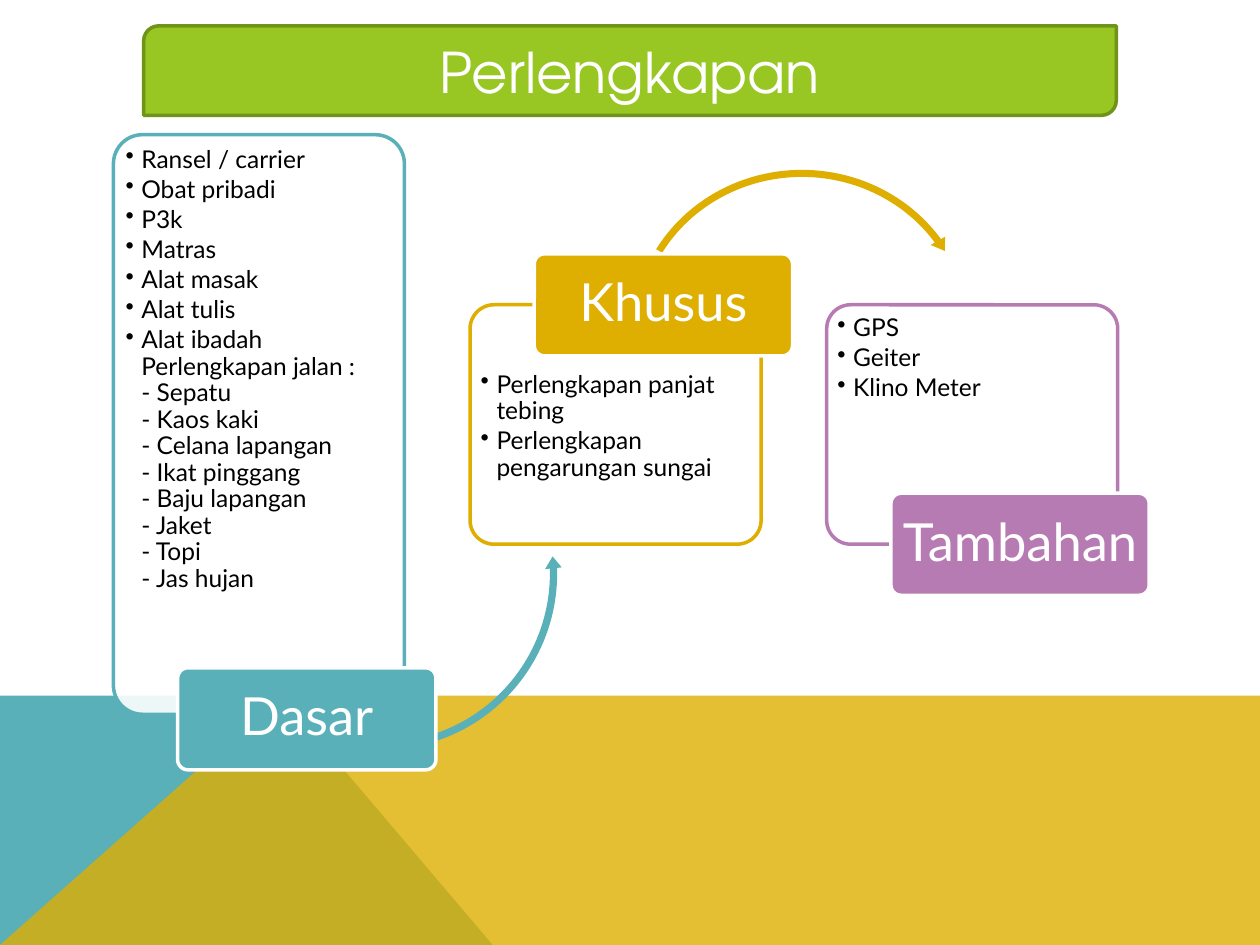
import copy
from dataclasses import dataclass

import pptx
import pptx.dml.color
import pptx.enum.shapes
import pptx.enum.text
import pptx.oxml
import pptx.oxml.ns
import pptx.util
from lxml import etree

Pt = pptx.util.Pt
SHAPE = pptx.enum.shapes.MSO_SHAPE
ALIGN = pptx.enum.text.PP_ALIGN
ANCHOR = pptx.enum.text.MSO_ANCHOR
qn = pptx.oxml.ns.qn


@dataclass(frozen=True)
class Theme:
    teal: str = "59B0B9"
    gold: str = "DEAE00"
    purple: str = "B77BB4"
    green: str = "98C723"
    dark_green: str = "70931A"
    white: str = "FFFFFF"
    black: str = "000000"
    title_font: str = "TeX Gyre Adventor"
    body_font: str = "Lato"
    title_size: float = 32
    label_size: float = 30
    list_size: float = 14
    line_width: float = 2


THEME = Theme()


def rgb(color):
    return pptx.dml.color.RGBColor.from_string(color)


def paint(shape, fill, line=None, opacity=100):
    shape.shadow.inherit = False
    shape.fill.solid()
    shape.fill.fore_color.rgb = rgb(fill)
    if opacity < 100:
        color = shape.fill._xPr.find(".//" + qn("a:srgbClr"))
        etree.SubElement(color, qn("a:alpha"), val=str(opacity * 1000))
    if line:
        shape.line.color.rgb = rgb(line)
        shape.line.width = Pt(THEME.line_width)
    else:
        shape.line.fill.background()


def add_box(slide, kind, box, fill, line=None, opacity=100, adjustments=()):
    shape = slide.shapes.add_shape(kind, *[Pt(value) for value in box])
    for index, value in enumerate(adjustments):
        shape.adjustments[index] = value
    paint(shape, fill, line, opacity)
    return shape


def write_text(shape, paragraphs, *, font, size, color, align=ALIGN.CENTER,
               anchor=ANCHOR.MIDDLE, insets=(7.2, 3.6, 7.2, 3.6),
               line_spacing=1.0, space_after=0, bullet_indent=0):
    frame = shape.text_frame
    frame.word_wrap = True
    frame.vertical_anchor = anchor
    (frame.margin_left, frame.margin_top,
     frame.margin_right, frame.margin_bottom) = [Pt(inset) for inset in insets]
    for index, text in enumerate(paragraphs):
        paragraph = frame.add_paragraph() if index else frame.paragraphs[0]
        paragraph.text = text.replace("\n", "\v")
        paragraph.alignment = align
        paragraph.line_spacing = line_spacing
        paragraph.space_after = Pt(space_after)
        for run in paragraph.runs:
            run.font.name = font
            run.font.size = Pt(size)
            run.font.color.rgb = rgb(color)
        # Line breaks take the same type size as the text around them
        for line_break in paragraph._p.findall(qn("a:br")):
            line_break.append(copy.deepcopy(paragraph.runs[0]._r.rPr))
        if bullet_indent:
            properties = paragraph._p.get_or_add_pPr()
            properties.set("marL", str(Pt(bullet_indent)))
            properties.set("indent", str(-Pt(bullet_indent)))
            etree.SubElement(properties, qn("a:buChar"), char="•")


def add_backdrop(slide, box):
    left, top, width, height = box
    right, bottom = left + width, top + height
    peak = left + 160.6
    bands = [
        ([(left, bottom), (left, top), (peak, top), (left + 281.5, bottom)],
         THEME.teal, 100),
        ([(left, bottom), (peak, top), (right, top), (right, bottom)],
         THEME.gold, 80),
    ]
    for points, color, opacity in bands:
        start, *others = [(Pt(x), Pt(y)) for x, y in points]
        builder = slide.shapes.build_freeform(*start)
        builder.add_line_segments(others, close=True)
        paint(builder.convert_to_shape(), color, opacity=opacity)


def add_title(slide, box, text):
    banner = add_box(slide, SHAPE.ROUND_2_DIAG_RECTANGLE, box,
                     THEME.green, THEME.dark_green)
    write_text(banner, [text], font=THEME.title_font, size=THEME.title_size,
               color=THEME.white)


def add_card(slide, box, color, items, text_drop=0):
    card = add_box(slide, SHAPE.ROUNDED_RECTANGLE, box, THEME.white, color,
                   opacity=90, adjustments=[0.1])
    write_text(card, items, font=THEME.body_font, size=THEME.list_size,
               color=THEME.black, align=ALIGN.LEFT, anchor=ANCHOR.TOP,
               insets=(2.1, 2.1 + text_drop, 2.1, 2.1), line_spacing=0.9,
               space_after=2.1, bullet_indent=9)


def add_label(slide, box, color, text):
    label = add_box(slide, SHAPE.ROUNDED_RECTANGLE, box, color, THEME.white,
                    adjustments=[0.1])
    write_text(label, [text], font=THEME.body_font, size=THEME.label_size,
               color=THEME.white, insets=(4.3, 2.9, 4.3, 2.9),
               line_spacing=0.9, space_after=10.5)


def add_process(slide, box):
    """Three cards in a row, each with a label, linked by curved arrows."""
    left, top, width, height = box
    card_width, label_width, label_height = 166.3, 147.6, 58.3
    step = (width - label_width - 36.7) / 2
    low_top, low_height = top + 97.2, 136.8
    road_gear = ["Alat ibadah", "Perlengkapan jalan :", "- Sepatu",
                 "- Kaos kaki", "- Celana lapangan", "- Ikat pinggang",
                 "- Baju lapangan", "- Jaket", "- Topi", "- Jas hujan"]
    # Label, colour, card top, card height, label centre, text drop, items, arrow
    stages = [
        ("Dasar", THEME.teal, top, 331.2, top + height - label_height / 2, 0,
         ["Ransel / carrier", "Obat pribadi", "P3k", "Matras", "Alat masak",
          "Alat tulis", "\n".join(road_gear)],
         (SHAPE.LEFT_CIRCULAR_ARROW, (49.7, 147.6, 206.6, 206.6),
          [0.02, 2.354, 214.906, 69.042, 0.023])),
        ("Khusus", THEME.gold, low_top, low_height, low_top, 32.4,
         ["Perlengkapan panjat tebing", "Perlengkapan pengarungan sungai"],
         (SHAPE.CIRCULAR_ARROW, (90, 17.3, 199.4, 190.8),
          [0.021, 2.55, 195.695, 125.755, 0.025])),
        ("Tambahan", THEME.purple, low_top, low_height, low_top + low_height, 0,
         ["GPS", "Geiter", "Klino Meter"], None),
    ]
    for index, stage in enumerate(stages):
        name, color, card_top, card_height, label_middle, drop, items, arrow = stage
        x = left + index * step
        add_card(slide, (x, card_top, card_width, card_height), color, items, drop)
        if arrow:
            kind, (dx, dy, arrow_width, arrow_height), adjustments = arrow
            add_box(slide, kind, (x + dx, top + dy, arrow_width, arrow_height),
                    color, adjustments=adjustments)
        add_label(slide, (x + 36.7, label_middle - label_height / 2,
                          label_width, label_height), color, name)


def main():
    presentation = pptx.Presentation()
    presentation.slide_width, presentation.slide_height = Pt(720), Pt(540)
    slide = presentation.slides.add_slide(presentation.slide_layouts[6])
    add_backdrop(slide, (0, 397.6, 720, 142.4))
    add_process(slide, (64.8, 77, 591.9, 362.9))
    add_title(slide, (82.1, 14.8, 555.8, 51.1), "Perlengkapan")
    presentation.save("out.pptx")


if __name__ == "__main__":
    main()
